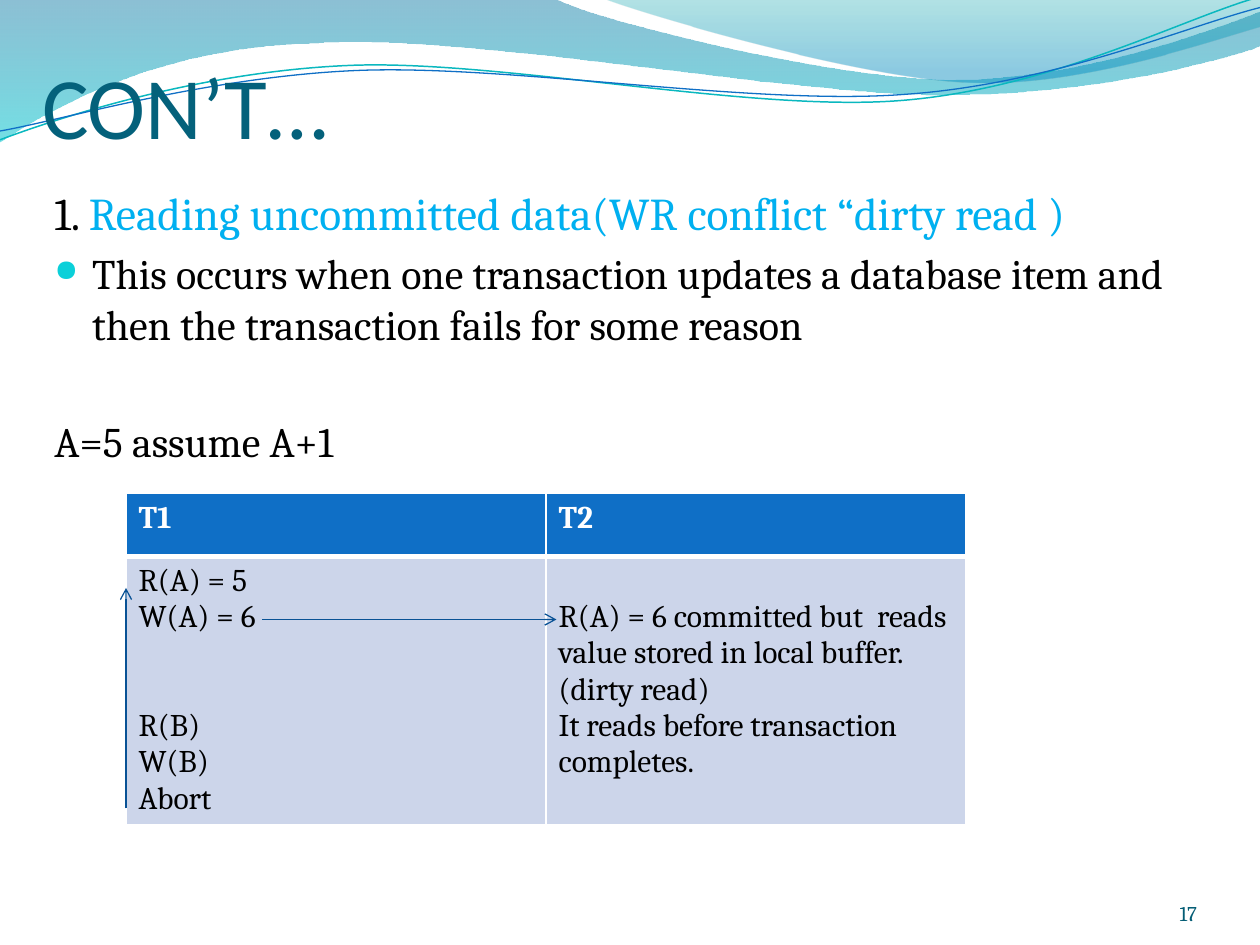
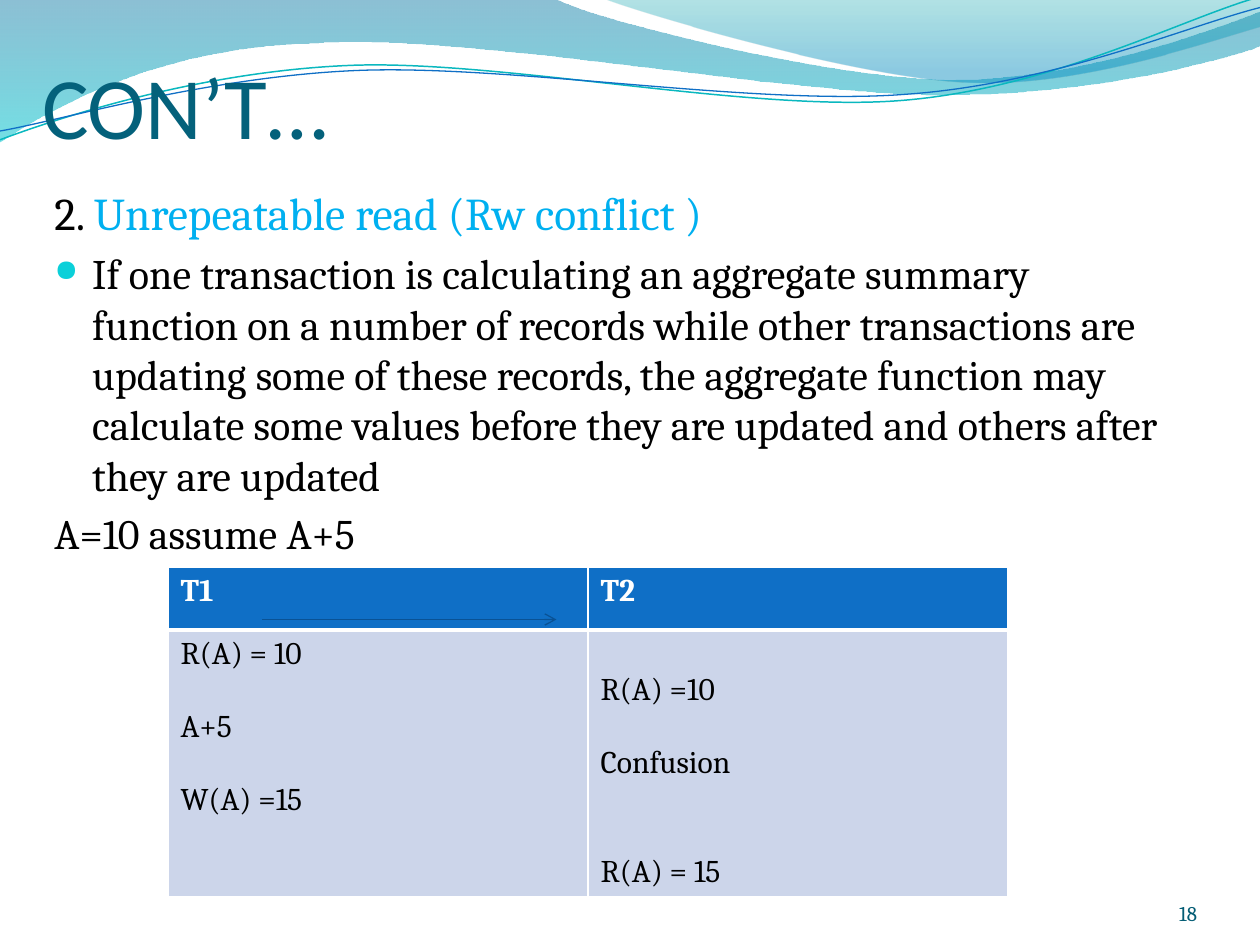
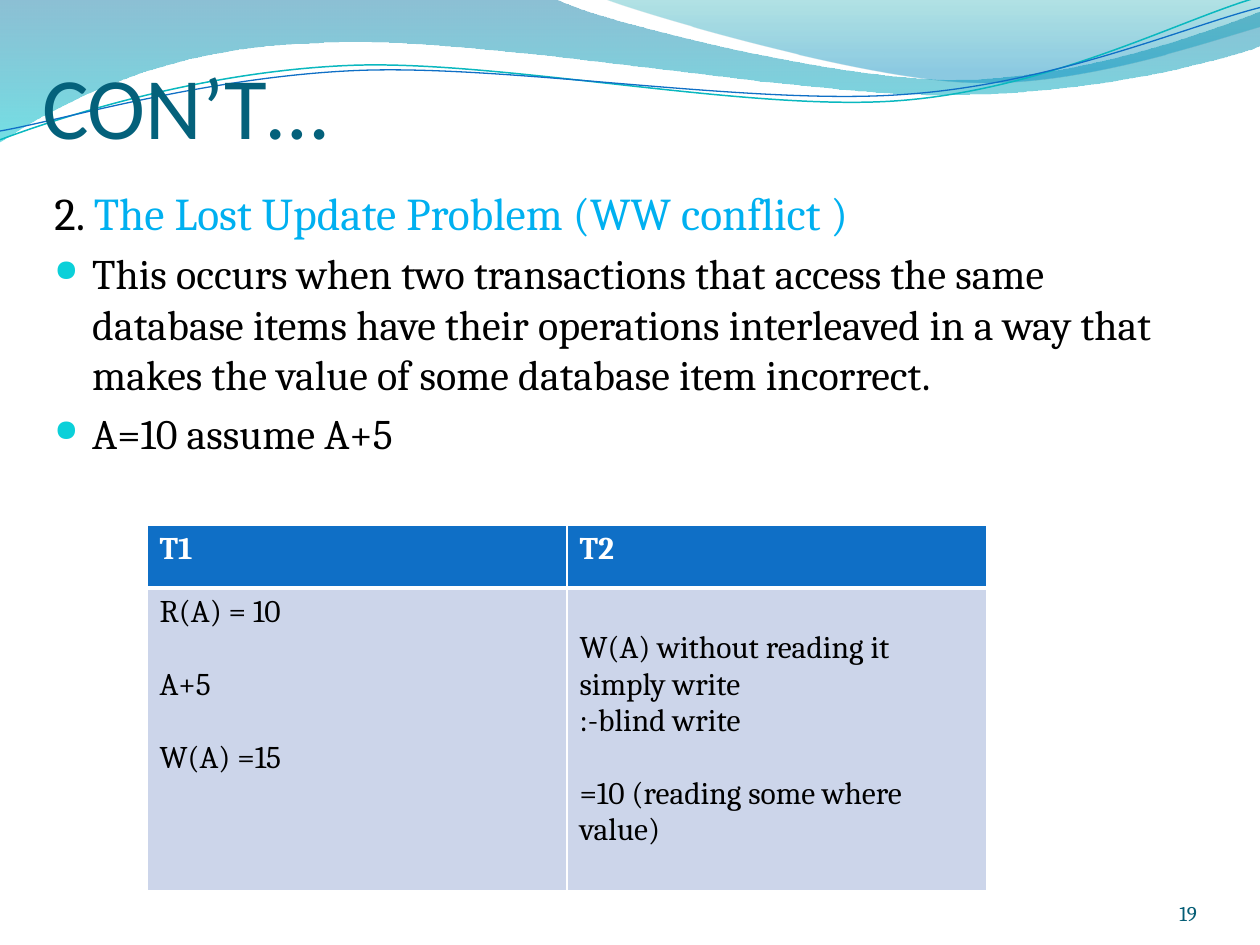
from dataclasses import dataclass

from lxml.etree import SubElement
from pptx import Presentation
from pptx.dml.color import RGBColor
from pptx.enum.shapes import MSO_CONNECTOR
from pptx.enum.text import MSO_ANCHOR, PP_ALIGN
from pptx.oxml.ns import qn
from pptx.util import Inches, Pt


@dataclass(frozen=True)
class Theme:
    title: str = "04617B"
    text: str = "000000"
    accent: str = "00B0F0"
    bullet: str = "0BD0D9"
    number: str = "045D75"
    header: str = "0F6FC6"
    cell: str = "CCD5EA"
    white: str = "FFFFFF"
    arrow: str = "095295"
    heading_font: str = "Calibri"
    body_font: str = "Cambria"
    title_size: float = 50
    topic_size: float = 26
    body_size: float = 24
    table_size: float = 18
    number_size: float = 12
    table_line: float = 20.75   # height of one table line
    body_line: float = 28.8     # height of one body line


theme = Theme()
presentation = Presentation()
presentation.slide_width, presentation.slide_height = Inches(10), Inches(7.5)
UNIT = presentation.slide_width // 120   # grid of 120 columns by 90 rows

# Wave bands: gradient stops are (position, colour, opacity %);
# an outline is a start point, then rows of three points (curve) or one (line)
BANDS = [
    ([(0, "0074A1", 45), (1, "00C6CF", 55)],
     [(0, 0), [(4.4, -0.01)],
      [(4.76, 0.17), (6.64, 0.63), (7.58, 0.63)],
      [(8.53, 0.63), (9.58, 0.26), (10, 0.09)],
      [(10.01, 0.36)],
      [(9.83, 0.44), (8.7, 0.76), (7.46, 0.75)],
      [(6.22, 0.75), (3.82, 0.28), (2.57, 0.34)],
      [(1.29, 0.36), (0.46, 0.83), (-0.01, 1.13)],
      [(0, 0)]]),
    ([(0, "00A1A9", 30), (0.8, "008BBF", 45)],
     [(4.79, -0.01),
      [(5.09, 0.11), (6.82, 0.62), (7.69, 0.65)],
      [(8.56, 0.69), (9.61, 0.32), (10, 0.21)],
      [(10, 0)],
      [(4.79, -0.01)]]),
]
WAVE_LINES = [
    ("0AB8BF", 0.85,
     [(0, 1.11),
      [(0.48, 0.93), (1.58, 0.57), (2.77, 0.52)],
      [(3.95, 0.47), (5.93, 0.89), (7.13, 0.8)],
      [(8.33, 0.71), (9.38, 0.15), (9.98, -0.02)]]),
    ("0F6FC6", 0.75,
     [(0, 1.04),
      [(0.47, 0.96), (1.64, 0.61), (2.83, 0.56)],
      [(4.03, 0.51), (5.97, 0.84), (7.17, 0.75)],
      [(8.36, 0.67), (9.41, 0.21), (10, 0.06)]]),
]

# Body lines are (text, bulleted, blank lines before);
# table lines are (text, blank lines before); arrows are grid ends
SLIDES = [
    dict(number="17", order="1. ",
         topic="Reading uncommitted data(WR conflict “dirty read )",
         body=[("This occurs when one transaction updates a database item and then "
                "the transaction fails for some reason", True, 0),
               ("A=5 assume A+1", False, 1)],
         table_at=(12, 47), table_lines=7,
         t1=[("R(A) = 5", 0), ("W(A) = 6", 0), ("R(B)", 2), ("W(B)", 0), ("Abort", 0)],
         t2=[("R(A) = 6 committed but  reads value stored in local buffer."
              "(dirty read)", 1),
             ("It reads before transaction completes.", 0)],
         arrows=[(25, 59, 53, 59), (12, 77, 12, 56)]),
    dict(number="18", order="2. ",
         topic="Unrepeatable read (Rw conflict )",
         body=[("If one transaction is calculating an aggregate summary function on a "
                "number of records while other transactions are updating some of these "
                "records, the aggregate function may calculate some values before they "
                "are updated and others after they are updated", True, 0),
               ("A=10 assume A+5", False, 0)],
         table_at=(16, 54), table_lines=7,
         t1=[("R(A) = 10", 0), ("A+5", 1), ("W(A) =15", 1)],
         t2=[("R(A) =10", 1), ("Confusion", 1), ("R(A) = 15", 2)],
         arrows=[(25, 59, 53, 59)]),
    dict(number="19", order="2. ",
         topic="The Lost Update Problem (WW conflict )",
         body=[("This occurs when two transactions that access the same database items "
                "have their operations interleaved in a way that makes the value of "
                "some database item incorrect.", True, 0),
               ("A=10 assume A+5", True, 0)],
         table_at=(14, 50), table_lines=8,
         t1=[("R(A) = 10", 0), ("A+5", 1), ("W(A) =15", 1)],
         t2=[("W(A) without reading it simply write", 1), (":-blind write", 0),
             ("=10 (reading some where value)", 1)],
         arrows=[]),
]


def add_run(paragraph, text, size, colour, font=theme.body_font, bold=False):
    run = paragraph.add_run()
    run.text = text
    run.font.size, run.font.name, run.font.bold = Pt(size), font, bold
    run.font.color.rgb = RGBColor.from_string(colour)


def add_outline(slide, outline, closed):
    """Draw an outline, joining each three-point row into one cubic curve."""
    start, *parts = outline
    points = [(Inches(x), Inches(y)) for part in parts for x, y in part]
    builder = slide.shapes.build_freeform(Inches(start[0]), Inches(start[1]))
    builder.add_line_segments(points, close=closed)
    shape = builder.convert_to_shape()
    shape.shadow.inherit = False
    segments = iter(list(shape.element.iter(qn("a:lnTo"))))
    for part in parts:
        group = [next(segments) for _ in part]
        if len(group) == 3:
            group[0].addprevious(curve := SubElement(group[0].getparent(), qn("a:cubicBezTo")))
            for segment in group:
                curve.append(segment[0])
                segment.getparent().remove(segment)
    return shape


for content in SLIDES:
    slide = presentation.slides.add_slide(presentation.slide_layouts[6])

    # Waves along the top
    for stops, outline in BANDS:
        band = add_outline(slide, outline, True)
        band.line.fill.background()
        band.fill.gradient()
        band.fill.gradient_angle = 270
        for stop, (position, colour, opacity) in zip(band.fill.gradient_stops, stops):
            stop.position = position
            stop.color.rgb = RGBColor.from_string(colour)
        for tint, (_, _, opacity) in zip(band.element.spPr.iter(qn("a:srgbClr")), stops):
            SubElement(tint, qn("a:alpha")).set("val", str(opacity * 1000))
    for colour, width, outline in WAVE_LINES:
        wave = add_outline(slide, outline, False)
        wave.fill.background()
        wave.line.color.rgb = RGBColor.from_string(colour)
        wave.line.width = Pt(width)

    # Text frames for title, body and slide number
    frames = []
    for left, top, width, height in [(4, 3, 112, 12), (4, 17, 108, 66),
                                     (104, 83.4, 10, 4.8)]:
        box = slide.shapes.add_textbox(*(int(UNIT * n) for n in (left, top, width, height)))
        box.text_frame.word_wrap = True
        frames.append(box.text_frame)
    title, body, number = frames
    for frame in (title, number):
        frame.vertical_anchor = MSO_ANCHOR.BOTTOM
        frame.margin_left = frame.margin_right = frame.margin_top = frame.margin_bottom = 0
    title.margin_top = Inches(0.05)
    add_run(title.paragraphs[0], "CON’T…", theme.title_size, theme.title, theme.heading_font)
    number.paragraphs[0].alignment = PP_ALIGN.RIGHT
    add_run(number.paragraphs[0], content["number"], theme.number_size, theme.number)

    # Topic and explanation
    topic = body.paragraphs[0]
    topic.space_before = Pt(theme.topic_size * 0.2)
    add_run(topic, content["order"], theme.topic_size, theme.text)
    add_run(topic, content["topic"], theme.topic_size, theme.accent)
    gap = theme.body_size * 0.2
    for text, bulleted, blanks in content["body"]:
        paragraph = body.add_paragraph()
        paragraph.space_before = Pt(gap + blanks * (theme.body_line + gap))
        add_run(paragraph, text, theme.body_size, theme.text)
        if bulleted:
            properties = paragraph._p.get_or_add_pPr()
            properties.set("marL", str(Inches(0.3)))
            properties.set("indent", str(-Inches(0.3)))
            tint = SubElement(properties, qn("a:buClr"))
            SubElement(tint, qn("a:srgbClr")).set("val", theme.bullet)
            SubElement(properties, qn("a:buSzPct")).set("val", "72000")
            SubElement(properties, qn("a:buChar")).set("char", "●")

    # Schedule of the two transactions
    left, top = content["table_at"]
    header_height = Inches(0.5)
    body_height = Pt(content["table_lines"] * theme.table_line) + Inches(0.1)
    table = slide.shapes.add_table(2, 2, left * UNIT, top * UNIT, 80 * UNIT,
                                   header_height + body_height).table
    table.rows[0].height, table.rows[1].height = header_height, body_height
    rows = [[[("T1", 0)], [("T2", 0)]], [content["t1"], content["t2"]]]
    for row, entries in enumerate(rows):
        is_header = row == 0
        for column, lines in enumerate(entries):
            cell = table.cell(row, column)
            cell.fill.solid()
            cell.fill.fore_color.rgb = RGBColor.from_string(
                theme.header if is_header else theme.cell)
            cell.margin_top = Inches(0.05) + Pt(lines[0][1] * theme.table_line)
            cell.margin_bottom = 0
            for index, (text, blanks) in enumerate(lines):
                paragraph = cell.text_frame.paragraphs[0]
                if index:
                    paragraph = cell.text_frame.add_paragraph()
                    paragraph.space_before = Pt(blanks * theme.table_line)
                add_run(paragraph, text, theme.table_size,
                        theme.white if is_header else theme.text, bold=is_header)
            # White borders, heavier between header and body
            properties = cell._tc.get_or_add_tcPr()
            heavy = "lnB" if is_header else "lnT"
            for place, side in enumerate(("lnL", "lnR", "lnT", "lnB")):
                border = SubElement(properties, qn(f"a:{side}"))
                border.set("w", str(Pt(3 if side == heavy else 1)))
                paint = SubElement(border, qn("a:solidFill"))
                SubElement(paint, qn("a:srgbClr")).set("val", theme.white)
                properties.insert(place, border)

    # Arrows over the schedule
    for ends in content["arrows"]:
        arrow = slide.shapes.add_connector(MSO_CONNECTOR.STRAIGHT, *(n * UNIT for n in ends))
        arrow.line.color.rgb = RGBColor.from_string(theme.arrow)
        arrow.line.width = Pt(0.75)
        properties = arrow._element.spPr
        SubElement(properties.find(qn("a:ln")), qn("a:tailEnd")).set("type", "arrow")
        SubElement(properties, qn("a:effectLst"))

presentation.save("out.pptx")
